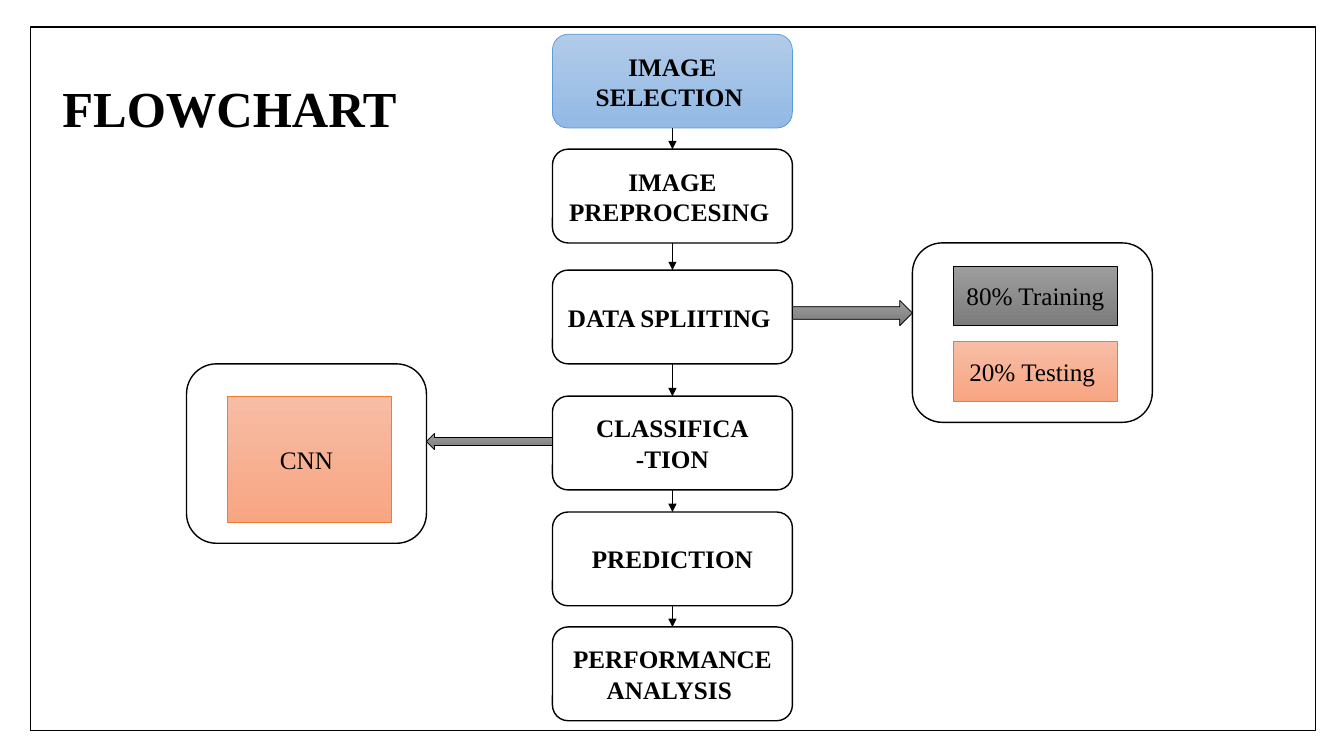
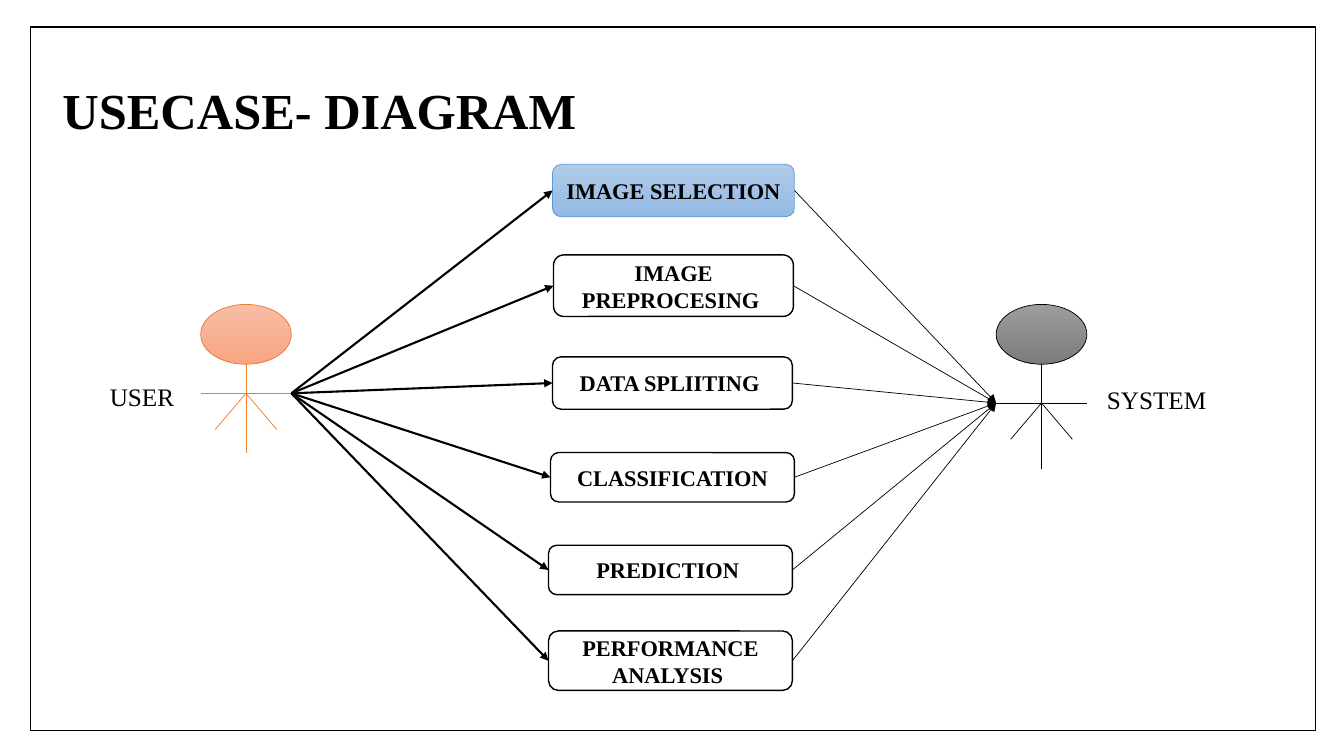
import pptx
import pptx.dml.color
import pptx.enum.shapes
import pptx.enum.text
import pptx.oxml.ns
import pptx.util
from lxml import etree

RGB = pptx.dml.color.RGBColor
SHAPE = pptx.enum.shapes.MSO_SHAPE
ALIGN = pptx.enum.text.PP_ALIGN
ANCHOR = pptx.enum.text.MSO_ANCHOR
qn = pptx.oxml.ns.qn

FONT = "Times New Roman"
BLACK = RGB(0x00, 0x00, 0x00)
WHITE = RGB(0xFF, 0xFF, 0xFF)
BLUE_EDGE = RGB(0x5B, 0x9B, 0xD5)
ORANGE_EDGE = RGB(0xED, 0x7D, 0x31)

# Looks: fill colours (two make a gradient), line colour, line width
EMPTY = ((), BLACK, 1)
PLAIN = ((WHITE,), BLACK, 1)
BLUE = ((RGB(0xB1, 0xCB, 0xE9), RGB(0x93, 0xB9, 0xE4)), BLUE_EDGE, 0.5)
GREY = ((RGB(0x9D, 0x9D, 0x9D), RGB(0x7C, 0x7C, 0x7C)), BLACK, 0.5)
ORANGE = ((RGB(0xF7, 0xBD, 0xA5), RGB(0xF8, 0xA5, 0x82)), ORANGE_EDGE, 0.5)

SLIDE = (0, 0, pptx.util.Inches(13.33), pptx.util.Inches(7.5))
TOP, LEFT, BOTTOM, RIGHT = range(4)  # connection sites of a box


def part(box, x, y, w, h):
    """Box inside a box, in percent of the outer one."""
    left, top, width, height = box
    return (int(left + width * x / 100), int(top + height * y / 100),
            int(width * w / 100), int(height * h / 100))


def write(tf, text, size, bold=False, align=ALIGN.CENTER):
    for i, line in enumerate(text.split("\n")):
        p = tf.add_paragraph() if i else tf.paragraphs[0]
        p.alignment = align
        r = p.add_run()
        r.text = line
        r.font.name, r.font.size, r.font.bold = FONT, pptx.util.Pt(size), bold
        r.font.color.rgb = BLACK


def add_shape(s, kind, box, look, text="", size=18, bold=False):
    sp = s.shapes.add_shape(kind, *box)
    sp.shadow.inherit = False
    colors, edge, width = look
    if len(colors) == 2:
        sp.fill.gradient()
        sp.fill.gradient_angle = 270
        for stop, color in zip(sp.fill.gradient_stops, colors):
            stop.color.rgb = color
    elif colors:
        sp.fill.solid()
        sp.fill.fore_color.rgb = colors[0]
    else:
        sp.fill.background()
    sp.line.color.rgb = edge
    sp.line.width = pptx.util.Pt(width)
    if text:
        sp.text_frame.vertical_anchor = ANCHOR.MIDDLE
        write(sp.text_frame, text, size, bold)
    return sp


def add_line(s, start, end, color=BLACK, width=0.5, arrow=False):
    """Line between points, or (shape, site) pairs to glue to."""
    points = [p if isinstance(p[0], int) else (0, 0) for p in (start, end)]
    line = s.shapes.add_connector(pptx.enum.shapes.MSO_CONNECTOR.STRAIGHT,
                                  *points[0], *points[1])
    if not isinstance(start[0], int):
        line.begin_connect(*start)
    if not isinstance(end[0], int):
        line.end_connect(*end)
    line.line.color.rgb = color
    line.line.width = pptx.util.Pt(width)
    spPr = line.element.spPr
    if arrow:
        etree.SubElement(spPr.find(qn("a:ln")), qn("a:tailEnd"), type="triangle")
    etree.SubElement(spPr, qn("a:effectLst"))


def add_slide(prs, title, title_box):
    """Title-only slide with the shared frame and title style."""
    s = prs.slides.add_slide(prs.slide_layouts[5])
    add_shape(s, SHAPE.RECTANGLE, part(SLIDE, 2.25, 3.6, 95.65, 93.07), EMPTY)
    sp = s.shapes.title
    sp.left, sp.top, sp.width, sp.height = part(SLIDE, *title_box)
    tf = sp.text_frame
    tf.auto_size = pptx.enum.text.MSO_AUTO_SIZE.NONE
    tf.vertical_anchor = ANCHOR.MIDDLE
    write(tf, title, 36, True, ALIGN.LEFT)
    tf.paragraphs[0].line_spacing = 0.9
    return s


def add_steps(s, box, rows, size):
    """Column of steps; the first one is highlighted."""
    return [add_shape(s, SHAPE.ROUNDED_RECTANGLE, part(box, *place),
                      PLAIN if i else BLUE, text, size, True)
            for i, (text, place) in enumerate(rows)]


def add_panel(s, box, items):
    """Rounded panel with labelled blocks: text, look, top, height."""
    for_items = [(text, look, part(box, 17.23, y, 68.07, h))
                 for text, look, y, h in items]
    panel = add_shape(s, SHAPE.ROUNDED_RECTANGLE, box, PLAIN)
    for text, look, place in for_items:
        add_shape(s, SHAPE.RECTANGLE, place, look, text)
    return panel


def add_block_arrow(s, kind, left_sp, right_sp, middle, height):
    """Block arrow filling the gap between two shapes."""
    x = left_sp.left + left_sp.width
    _, y, _, h = part(SLIDE, 0, middle - height / 2, 0, height)
    add_shape(s, kind, (x, y, right_sp.left - x, h), GREY)


def add_actor(s, box, look, label, label_box):
    """Stick figure; returns the left and right hand points."""
    left, top, w, h = box
    head = int(w * 0.66)
    mid, arms, feet = left + w // 2, top + int(h * 0.6), top + h
    legs = arms + int(w * 0.4)
    hands = (left, arms), (left + w, arms)
    add_shape(s, SHAPE.OVAL, (left, top, w, head), look)
    for start, end in [((mid, top + head), (mid, feet)), hands,
                       ((mid, arms), (left + int(w * 0.16), legs)),
                       ((mid, arms), (left + int(w * 0.84), legs))]:
        add_line(s, start, end, look[1])
    tf = s.shapes.add_textbox(*part(SLIDE, *label_box)).text_frame
    tf.word_wrap = False
    write(tf, label, 18, align=ALIGN.LEFT)
    return hands


def flowchart(prs):
    s = add_slide(prs, "FLOWCHART", (3.9, 5.2, 33.83, 19.07))
    # Main flow
    texts = ["IMAGE SELECTION ", "IMAGE PREPROCESING ", "DATA SPLIITING ",
             "CLASSIFICA\n-TION", "PREDICTION", "PERFORMANCE ANALYSIS "]
    tops = [0, 16.74, 34.36, 52.72, 69.6, 86.34]
    rows = [(text, (0, top, 100, 13.66)) for text, top in zip(texts, tops)]
    steps = add_steps(s, part(SLIDE, 41.11, 4.53, 17.85, 90.8), rows, 18)
    for upper, lower in zip(steps, steps[1:]):
        add_line(s, (upper, BOTTOM), (lower, TOP), arrow=True)
    # Side panels
    split = add_panel(s, part(SLIDE, 67.89, 32.13, 17.85, 23.73),
                      [("80% Training ", GREY, 12.92, 33.15),
                       ("20% Testing ", ORANGE, 55.06, 33.15)])
    add_block_arrow(s, SHAPE.RIGHT_ARROW, steps[2], split, 41.4, 3.33)
    model = add_panel(s, part(SLIDE, 13.88, 48.13, 17.85, 23.73),
                      [("CNN ", ORANGE, 17.98, 70.22)])
    add_block_arrow(s, SHAPE.LEFT_ARROW, model, steps[3], 58.4, 2.13)


def use_case(prs):
    s = add_slide(prs, "USECASE- DIAGRAM", (3.9, 5.33, 86.27, 19.33))
    # Actors
    _, user_hand = add_actor(s, part(SLIDE, 14.93, 40.27, 6.75, 19.6), ORANGE,
                             "USER", (7.43, 49.73, 6.38, 5.33))
    system_hand, _ = add_actor(s, part(SLIDE, 74.12, 40.27, 6.75, 21.73), GREY,
                               "SYSTEM", (81.62, 50.13, 9.45, 5.33))
    # Use cases
    rows = [("IMAGE SELECTION ", (1.64, 0, 98.36, 9.96)),
            ("IMAGE PREPROCESING ", (2.05, 17.24, 97.54, 11.69)),
            ("DATA SPLIITING ", (1.64, 36.59, 97.54, 9.96)),
            ("CLASSIFICATION", (0.82, 54.79, 99.18, 9.39)),
            ("PREDICTION ", (0, 72.41, 99.18, 9.39)),
            ("PERFORMANCE ANALYSIS ", (0, 88.7, 99.18, 11.3))]
    for case in add_steps(s, part(SLIDE, 40.81, 21.73, 18.3, 69.6), rows, 16):
        add_line(s, user_hand, (case, LEFT), width=1.5, arrow=True)
        add_line(s, (case, RIGHT), system_hand, arrow=True)


def main():
    prs = pptx.Presentation()
    prs.slide_width, prs.slide_height = SLIDE[2:]
    flowchart(prs)
    use_case(prs)
    prs.save("out.pptx")


if __name__ == "__main__":
    main()
